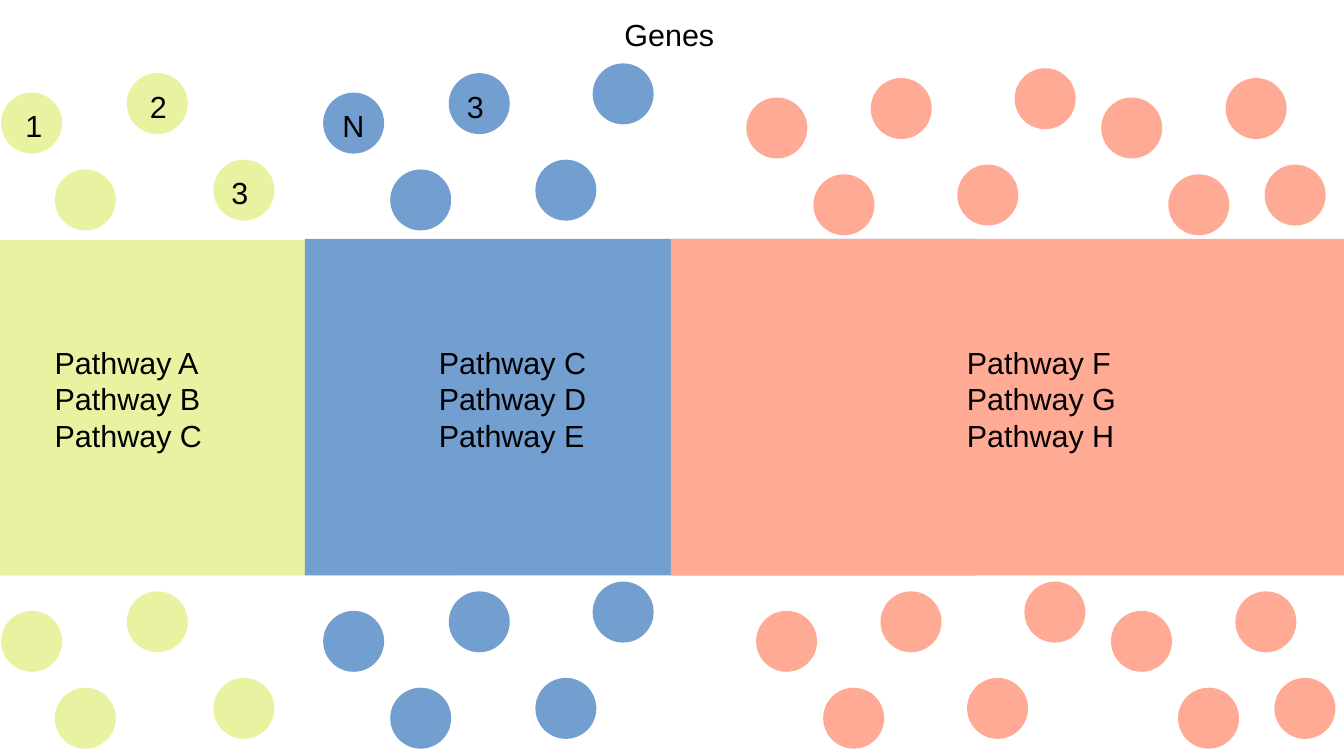
"""Build a slide that maps coloured gene circles to blocks of pathways."""
from itertools import cycle

from pptx import Presentation
from pptx.dml.color import RGBColor
from pptx.enum.shapes import MSO_SHAPE as Shape
from pptx.enum.text import MSO_ANCHOR as Anchor, MSO_AUTO_SIZE as AutoSize, PP_ALIGN as Align
from pptx.util import Inches, Pt

COLOURS = {"lime": "E8F2A1", "blue": "729FCF", "salmon": "FFAA95", "text": "000000"}
GENE_SIZE = 0.5
GENE_DROPS = (0.24, 0.87, 0.08, 0.79, 0)

deck = Presentation()
deck.slide_width, deck.slide_height = Inches(11.02), Inches(6.2)
slide = deck.slides.add_slide(deck.slide_layouts[5])


def add_patch(outline, colour, left, top, width, height):
    patch = slide.shapes.add_shape(outline, Inches(left), Inches(top), Inches(width), Inches(height))
    patch.shadow.inherit = False
    patch.fill.solid()
    patch.fill.fore_color.rgb = RGBColor.from_string(COLOURS[colour])
    patch.line.fill.background()


def write_lines(label, lines):
    frame = label.text_frame
    frame.word_wrap = True
    frame.auto_size = AutoSize.NONE
    frame.vertical_anchor = Anchor.TOP
    for index, line in enumerate(lines):
        paragraph = frame.add_paragraph() if index else frame.paragraphs[0]
        paragraph.alignment = Align.LEFT
        run = paragraph.add_run()
        run.text = line
        run.font.name = "Arial"
        run.font.size = Pt(18)
        run.font.color.rgb = RGBColor.from_string(COLOURS["text"])


heading = slide.shapes.title
heading.left, heading.top = Inches(5.02), Inches(0.08)
heading.width, heading.height = Inches(1.6), Inches(1.5)
write_lines(heading, ["Genes"])

pathway_blocks = [
    ("lime", 0, 1.97, 3.75, 2.75),
    ("blue", 2.5, 1.96, 5.5, 2.76),
    ("salmon", 5.5, 1.96, 5.52, 2.76),
]
for colour, left, top, width, height in pathway_blocks:
    add_patch(Shape.RECTANGLE, colour, left, top, width, height)

lime_lefts = (0.01, 0.45, 1.04, 1.75)
blue_lefts = (2.65, 3.2, 3.68, 4.39, 4.86)
salmon_lefts = (6.2, 6.75, 7.22, 7.93, 8.4, 9.11, 9.66, 10.13, 10.45)
gene_clusters = [
    ("lime", lime_lefts, 0, 0.52),
    ("blue", blue_lefts, 0, 0.52),
    ("salmon", salmon_lefts, -0.08, 0.56),
    ("lime", lime_lefts, 0, 4.77),
    ("blue", blue_lefts, 0, 4.77),
    ("salmon", salmon_lefts, 0, 4.77),
]
for colour, lefts, shift, top in gene_clusters:
    for left, drop in zip(lefts, cycle(GENE_DROPS)):
        add_patch(Shape.OVAL, colour, left + shift, top + drop, GENE_SIZE, GENE_SIZE)

pathway_labels = [(0.35, "ABC"), (3.5, "CDE"), (7.83, "FGH")]
labels = [
    (left, 2.77, 1.5, 1.22, [f"Pathway {letter}" for letter in letters])
    for left, letters in pathway_labels
]
gene_labels = [("1", 0.11, 0.83), ("2", 1.13, 0.67), ("3", 1.8, 1.38), ("3", 3.73, 0.67), ("N", 2.71, 0.83)]
labels += [(left, top, 0.36, 0.38, [number]) for number, left, top in gene_labels]
for left, top, width, height, lines in labels:
    label = slide.shapes.add_textbox(Inches(left), Inches(top), Inches(width), Inches(height))
    write_lines(label, lines)

deck.save("out.pptx")
